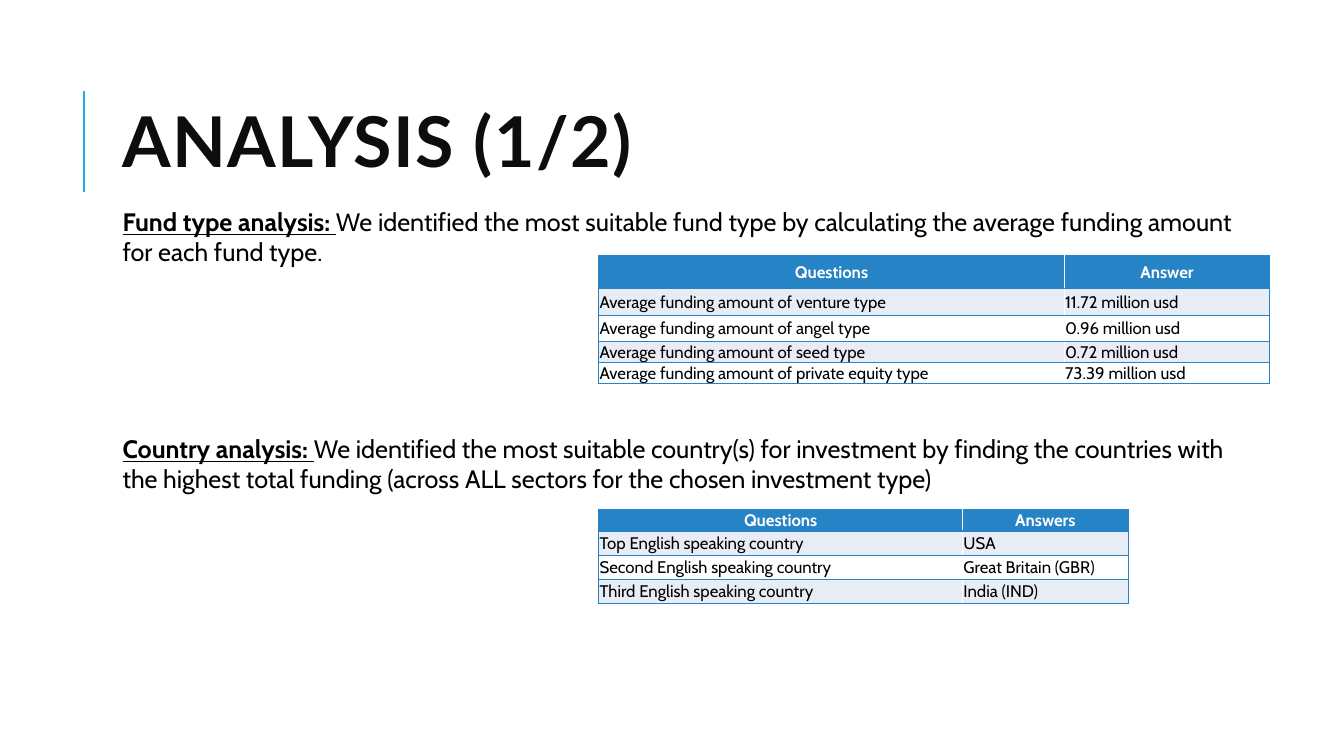
from dataclasses import dataclass

from lxml.etree import SubElement
from pptx import Presentation
from pptx.dml.color import RGBColor as Rgb
from pptx.enum.shapes import MSO_CONNECTOR as Connector
from pptx.enum.text import MSO_ANCHOR as Anchor, PP_ALIGN as Align
from pptx.oxml import parse_xml
from pptx.oxml.ns import nsdecls, qn
from pptx.util import Cm, Pt


@dataclass(frozen=True)
class Theme:
    accent: str = "1CADE4"
    header: str = "2683C6"
    band: str = "E8EDF5"
    white: str = "FFFFFF"
    title: str = "0D0D0D"
    text: str = "000000"
    title_font: str = "Lato"
    body_font: str = "Cabin"
    title_size: int = 50
    body_size: int = 18
    table_size: int = 12


THEME = Theme()
TEXT_LEFT = 2.84
TABLE_LEFT = 15.09


def set_font(font, name, size, color, bold=None):
    font.name = name
    font.size = Pt(size)
    font.color.rgb = Rgb.from_string(color)
    font.bold = bold


def add_text_frame(slide, top, width, height):
    box = slide.shapes.add_textbox(Cm(TEXT_LEFT), Cm(top), Cm(width), Cm(height))
    box.text_frame.word_wrap = True
    return box.text_frame


def add_accent_line(slide):
    x = Cm(2.11)
    line = slide.shapes.add_connector(Connector.STRAIGHT, x, Cm(4.83), x, Cm(2.29))
    line.line.color.rgb = Rgb.from_string(THEME.accent)
    line.line.width = Pt(1.5)
    SubElement(line._element.spPr, qn("a:effectLst"))


def add_title(slide, text):
    frame = add_text_frame(slide, 1.63, 27, 4.17)
    frame.vertical_anchor = Anchor.MIDDLE
    paragraph = frame.paragraphs[0]
    paragraph.line_spacing = 0.8
    set_font(paragraph.font, THEME.title_font, THEME.title_size, THEME.title, True)
    run = paragraph.add_run()
    run.text = text
    run._r.get_or_add_rPr().set("spc", "100")  # letter spacing of 1 pt


def add_finding(slide, top, heading, text):
    paragraph = add_text_frame(slide, top, 29.16, 1.8).paragraphs[0]
    set_font(paragraph.font, THEME.body_font, THEME.body_size, THEME.text)
    heading_run = paragraph.add_run()
    heading_run.text = heading + " "
    heading_run.font.bold = heading_run.font.underline = True
    paragraph.add_run().text = text


def set_borders(cell, sides):
    properties = cell._tc.get_or_add_tcPr()
    for position, side in enumerate(sides):
        border = parse_xml(
            f'<a:ln{side} {nsdecls("a")} w="12700"><a:solidFill>'
            f'<a:srgbClr val="{THEME.header}"/></a:solidFill></a:ln{side}>')
        properties.insert(position, border)


def fill_cell(cell, text, row, column, header_anchor):
    is_header = row == 0
    color = THEME.header if is_header else THEME.band if row % 2 else THEME.white
    cell.fill.solid()
    cell.fill.fore_color.rgb = Rgb.from_string(color)
    cell.margin_left = cell.margin_right = cell.margin_top = Cm(0.02)
    cell.margin_bottom = 0
    cell.vertical_anchor = header_anchor if is_header else Anchor.MIDDLE
    cell.text = text
    paragraph = cell.text_frame.paragraphs[0]
    paragraph.alignment = Align.CENTER if is_header else Align.LEFT
    set_font(paragraph.font, THEME.body_font, THEME.table_size,
             THEME.white if is_header else THEME.text, is_header)
    # Outer edges and row lines, with no line between the columns
    set_borders(cell, "RTB" if column else "LTB")


def add_answer_table(slide, top, widths, heights, rows, header_anchor):
    frame = slide.shapes.add_table(len(rows), len(widths), Cm(TABLE_LEFT), Cm(top),
                                   Cm(sum(widths)), Cm(sum(heights)))
    table = frame.table
    for column, width in zip(table.columns, widths):
        column.width = Cm(width)
    for table_row, height in zip(table.rows, heights):
        table_row.height = Cm(height)
    for row, texts in enumerate(rows):
        for column, text in enumerate(texts):
            fill_cell(table.cell(row, column), text, row, column, header_anchor)


def main():
    presentation = Presentation()
    presentation.slide_width, presentation.slide_height = Cm(33.87), Cm(19.05)
    slide = presentation.slides.add_slide(presentation.slide_layouts[6])

    # Heading
    add_accent_line(slide)
    add_title(slide, "ANALYSIS (1/2)")

    # Fund types
    add_finding(slide, 5.08, "Fund type analysis:",
                "We identified the most suitable fund type by calculating the "
                "average funding amount for each fund type. ")
    add_answer_table(slide, 6.45, [11.73, 5.18], [0.82, 0.67, 0.67, 0.52, 0.52], [
        ("Questions", "Answer"),
        ("Average funding amount of venture type", "11.72 million usd"),
        ("Average funding amount of angel type", "0.96 million usd"),
        ("Average funding amount of seed type", "0.72 million usd"),
        ("Average funding amount of private equity type", "73.39 million usd"),
    ], Anchor.MIDDLE)

    # Countries
    add_finding(slide, 10.8, "Country analysis:",
                "We identified the most suitable country(s) for investment by "
                "finding the countries with the highest total funding "
                "(across ALL sectors for the chosen investment type)")
    add_answer_table(slide, 12.83, [9.17, 4.17], [0.55, 0.61, 0.61, 0.61], [
        ("Questions", "Answers"),
        ("Top English speaking country", "USA"),
        ("Second English speaking country", "Great Britain (GBR)"),
        ("Third English speaking country", "India (IND)"),
    ], Anchor.BOTTOM)

    presentation.save("out.pptx")


main()
